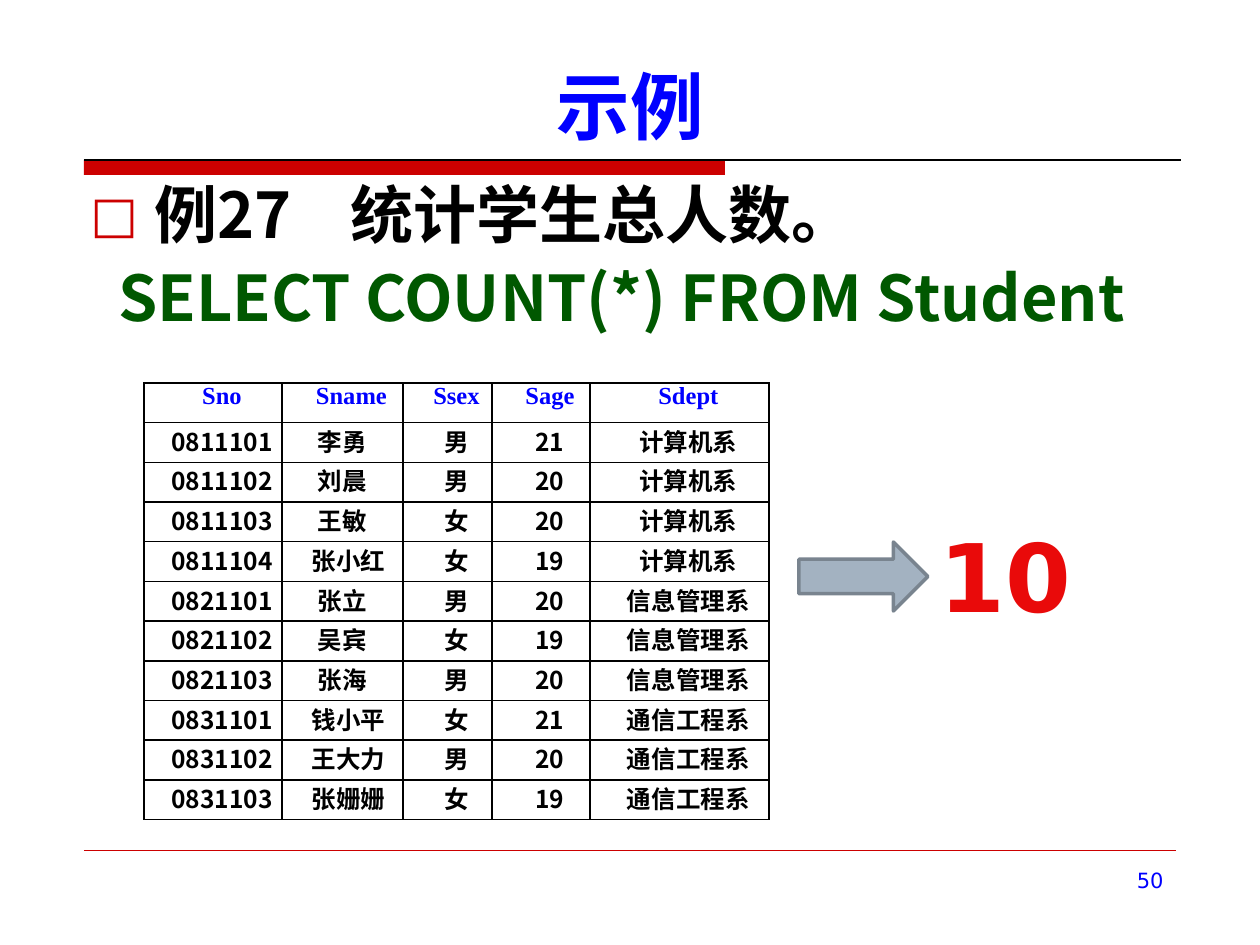
import pptx
import pptx.dml.color
import pptx.enum.shapes
import pptx.enum.text
import pptx.oxml
import pptx.oxml.ns
import pptx.util

SCALE = 914400 / 126
COLORS = {"blue": "0000FF", "red": "CC0000", "black": "000000", "green": "005800",
          "white": "FFFFFF", "steel": "A3B2C1", "slate": "79848F", "result": "E90A0A"}
SANS, SERIF, PLAIN = "Noto Sans CJK SC", "Times New Roman", "DejaVu Sans"
ALIGN = pptx.enum.text.PP_ALIGN
ANCHOR = pptx.enum.text.MSO_ANCHOR
SHAPE = pptx.enum.shapes.MSO_SHAPE

HEADERS = ["Sno", "Sname", "Ssex", "Sage", "Sdept"]
STUDENTS = [
    ["0811101", "李勇", "男", "21", "计算机系"],
    ["0811102", "刘晨", "男", "20", "计算机系"],
    ["0811103", "王敏", "女", "20", "计算机系"],
    ["0811104", "张小红", "女", "19", "计算机系"],
    ["0821101", "张立", "男", "20", "信息管理系"],
    ["0821102", "吴宾", "女", "19", "信息管理系"],
    ["0821103", "张海", "男", "20", "信息管理系"],
    ["0831101", "钱小平", "女", "21", "通信工程系"],
    ["0831102", "王大力", "男", "20", "通信工程系"],
    ["0831103", "张姗姗", "女", "19", "通信工程系"],
]
COLUMN_WIDTHS = [138, 121, 89, 98, 179]


def px(n):
    return pptx.util.Emu(round(n * SCALE))


def rgb(name):
    return pptx.dml.color.RGBColor.from_string(COLORS[name])


def element(xml):
    return pptx.oxml.parse_xml(f"<a:wrap {pptx.oxml.ns.nsdecls('a')}>{xml}</a:wrap>")[0]


def set_values(target, values):
    for name, value in values.items():
        setattr(target, name, value)


class SlideBuilder:
    def __init__(self, prs):
        self.slide = prs.slides.add_slide(prs.slide_layouts[6])

    def add_text(self, p, text, size, color, font=SANS, bold=True, **layout):
        set_values(p, layout)
        r = p.add_run()
        r.text = text
        set_values(r.font, {"size": pptx.util.Pt(size), "bold": bold, "name": font})
        r.font.color.rgb = rgb(color)
        r._r.get_or_add_rPr().append(element(f'<a:ea typeface="{SANS}"/>'))

    def indent(self, p, left, first, *extras):
        pPr = p._p.get_or_add_pPr()
        pPr.set("marL", str(px(left)))
        pPr.set("indent", str(px(first)))
        for xml in extras:
            pPr.append(element(xml))

    def text_box(self, box, **frame):
        tf = self.slide.shapes.add_textbox(*map(px, box)).text_frame
        set_values(tf, {"word_wrap": True, **frame})
        return tf

    def shape(self, kind, box, fill, line=None, width=0):
        sp = self.slide.shapes.add_shape(kind, *map(px, box))
        sp.shadow.inherit = False
        sp.fill.solid()
        sp.fill.fore_color.rgb = rgb(fill)
        if line:
            sp.line.color.rgb = rgb(line)
            sp.line.width = pptx.util.Pt(width)
        else:
            sp.line.fill.background()

    def rule(self, left, right, y, color, width):
        sp = self.slide.shapes.add_connector(
            pptx.enum.shapes.MSO_CONNECTOR.STRAIGHT, px(left), px(y), px(right), px(y))
        sp.line.color.rgb = rgb(color)
        sp.line.width = pptx.util.Pt(width)
        sp._element.spPr.append(element("<a:effectLst/>"))

    def border(self, cell):
        tcPr = cell._tc.get_or_add_tcPr()
        for i, side in enumerate(("lnL", "lnR", "lnT", "lnB")):
            tcPr.insert(i, element(
                f'<a:{side} w="12700"><a:solidFill><a:srgbClr val="{COLORS["black"]}"/>'
                f'</a:solidFill></a:{side}>'))

    def table(self, rows, widths, left, top, height):
        table = self.slide.shapes.add_table(
            len(rows), len(widths), px(left), px(top), px(sum(widths)), px(height)).table
        set_values(table, {"first_row": False, "horz_banding": False})
        for column, width in zip(table.columns, widths):
            column.width = px(width)
        for i, row in enumerate(rows):
            for j, text in enumerate(row):
                cell = table.cell(i, j)
                set_values(cell, {"margin_left": px(9), "margin_right": px(9),
                                  "margin_top": 0, "margin_bottom": 0})
                cell.fill.solid()
                cell.fill.fore_color.rgb = rgb("white")
                self.border(cell)
                p = cell.text_frame.paragraphs[0]
                is_name = i > 0 and j == 1
                self.indent(p, 0, {2: 0, 3: 12}[len(text)] if is_name else 18)
                self.add_text(p, text, 14, "black" if i else "blue",
                              SANS if text.isdigit() else SERIF, alignment=ALIGN.CENTER)


def main():
    prs = pptx.Presentation()
    prs.slide_width, prs.slide_height = px(1260), px(945)
    s = SlideBuilder(prs)

    s.shape(SHAPE.RECTANGLE, (84, 160, 641, 15), "red")
    s.rule(84, 1181, 160, "black", 0.75)
    s.rule(84, 1176, 850, "red", 0.25)

    tf = s.text_box((79, 42, 1102, 113), vertical_anchor=ANCHOR.BOTTOM)
    s.add_text(tf.paragraphs[0], "示例", 42, "blue", alignment=ALIGN.CENTER)

    tf = s.text_box((78, 175, 1102, 218))
    spacing = {"line_spacing": 0.95, "space_before": pptx.util.Pt(6)}
    p = tf.paragraphs[0]
    s.add_text(p, "例27\t统计学生总人数。", 36, "black", **spacing)
    s.indent(p, 64, -64, f'<a:buClr><a:srgbClr val="{COLORS["red"]}"/></a:buClr>',
             '<a:buSzPct val="80000"/>', f'<a:buFont typeface="{PLAIN}"/>',
             '<a:buChar char="□"/>',
             f'<a:tabLst><a:tab pos="{px(260)}" algn="l"/></a:tabLst>')
    p = tf.add_paragraph()
    s.add_text(p, "SELECT COUNT(*) FROM Student", 36, "green", **spacing)
    s.indent(p, 28, 0, "<a:buNone/>")

    tf = s.text_box((903, 861, 273, 66))
    s.add_text(tf.paragraphs[0], "50", 12, "blue", PLAIN, False, alignment=ALIGN.RIGHT)

    s.table([HEADERS] + STUDENTS, COLUMN_WIDTHS, 144, 383, 437)

    s.shape(SHAPE.RIGHT_ARROW, (799, 542, 129, 69), "steel", "slate", 2)
    tf = s.text_box((925, 512, 161, 127), word_wrap=False)
    s.add_text(tf.paragraphs[0], "10", 54, "result", PLAIN, alignment=ALIGN.CENTER)

    prs.save("out.pptx")


if __name__ == "__main__":
    main()
